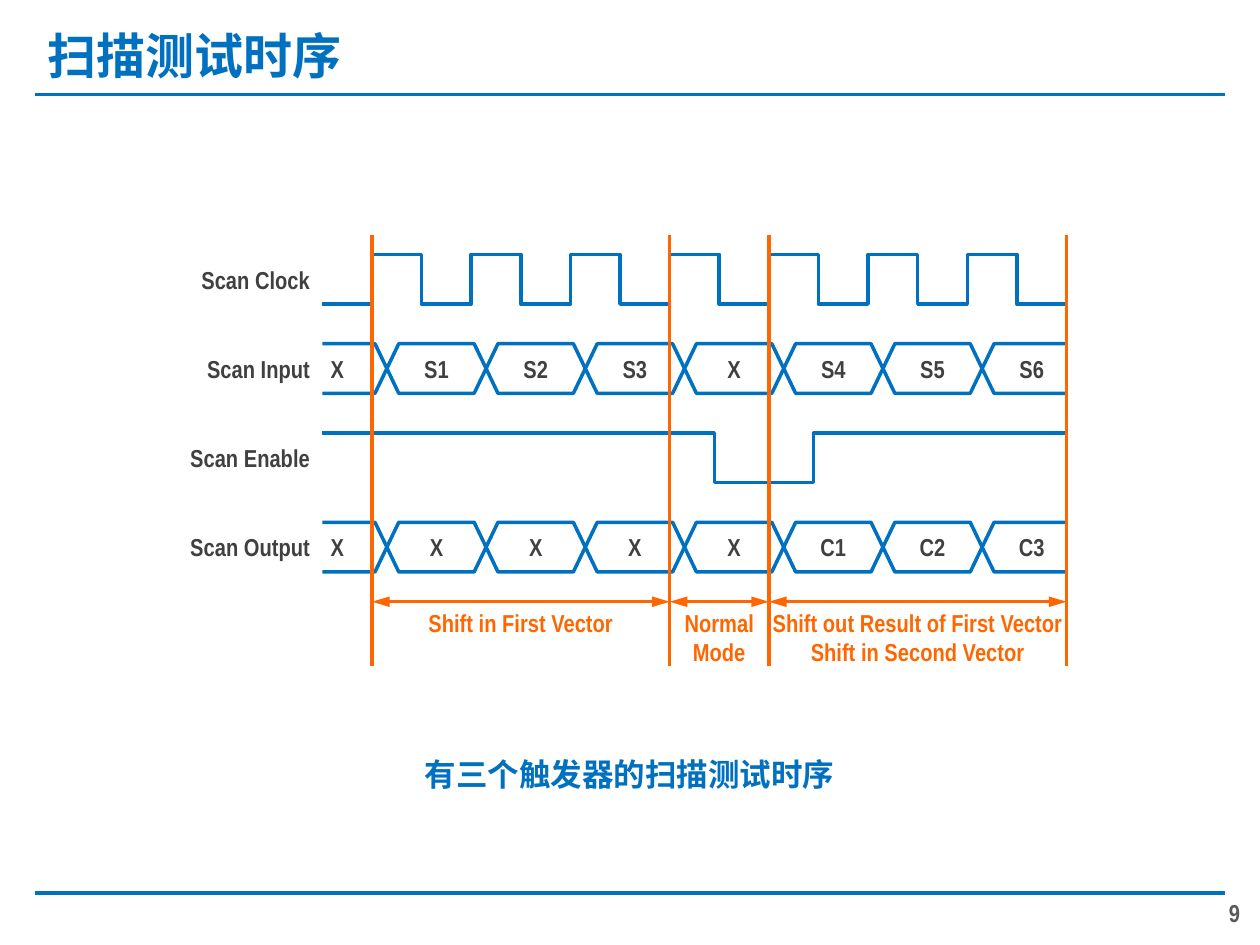
from lxml import etree
from pptx import Presentation
from pptx import util as u
from pptx.dml.color import RGBColor
from pptx.enum import shapes, text
from pptx.oxml.ns import qn

BLUE, ORANGE, DARK, GREY = "0070C0", "FF6600", "404040", "595959"
WIDTH, HEIGHT = 25.4, 19.05
LEFT, TOP = 6.5, 5.13
COLS, ROW_PITCH = 15, 1.8
CELL, BEVEL, FIRST_CELL = 2, 0.24, 1.3
MARKS = [1, 7, 9, 15]
ARROW_ROW = 7


def at(col, row):
    return u.Cm(LEFT + col), u.Cm(TOP + row)


def share(x, y):
    return u.Cm(WIDTH * x), u.Cm(HEIGHT * y)


def color(value):
    return RGBColor.from_string(value)


def write(sp, words, size=14, fill=DARK, align="CENTER", anchor="MIDDLE",
          inset=0.1, spacing=None, wrap=True):
    tf = sp.text_frame
    tf.word_wrap = wrap
    tf.vertical_anchor = getattr(text.MSO_ANCHOR, anchor)
    tf.margin_left = tf.margin_right = u.Inches(inset)
    p = tf.paragraphs[0]
    p.alignment = getattr(text.PP_ALIGN, align)
    if spacing:
        p.line_spacing = spacing
    r = p.add_run()
    r.text = words
    r.font.name = "Arial Narrow"
    r.font.size = u.Pt(size)
    r.font.bold = True
    r.font.color.rgb = color(fill)


def label(s, start, extent, words, **style):
    write(s.shapes.add_textbox(*start, *extent), words, **style)


def line(s, start, end, stroke, arrows=False):
    sp = s.shapes.add_connector(shapes.MSO_CONNECTOR.STRAIGHT, *start, *end)
    sp.line.color.rgb = color(stroke)
    sp.line.width = u.Pt(2)
    if arrows:
        ln = sp.line._get_or_add_ln()
        for end_tag in ("a:headEnd", "a:tailEnd"):
            etree.SubElement(ln, qn(end_tag), type="triangle", w="med", len="lg")
    etree.SubElement(sp._element.spPr, qn("a:effectLst"))


def outline(s, points, close=False):
    first, *rest = [at(*point) for point in points]
    builder = s.shapes.build_freeform(*first)
    builder.add_line_segments(rest, close=close)
    sp = builder.convert_to_shape()
    sp.shadow.inherit = False
    sp.fill.background()
    sp.line.color.rgb = color(BLUE)
    sp.line.width = u.Pt(2)
    return sp


def clock(s, row):
    points = [(0, row + 1)]
    for col in range(1, COLS):
        rising = col % 2
        points += [(col, row + rising), (col, row + 1 - rising)]
    outline(s, points + [(COLS, row + 1)])


def enable(s, row):
    outline(s, [(0, row), (7.9, row), (7.9, row + 1),
                (9.9, row + 1), (9.9, row), (COLS, row)])


def bus(s, row, values):
    before, *inner, after = values
    middle, bottom = row + 0.5, row + 1
    extent = u.Cm(CELL), u.Cm(1)
    last = FIRST_CELL + CELL * len(inner)
    outline(s, [(0, row), (FIRST_CELL - BEVEL, row), (FIRST_CELL, middle),
                (FIRST_CELL - BEVEL, bottom), (0, bottom)])
    for i, value in enumerate(inner):
        left = FIRST_CELL + CELL * i
        right = left + CELL
        sp = outline(s, [(left + BEVEL, row), (right - BEVEL, row), (right, middle),
                         (right - BEVEL, bottom), (left + BEVEL, bottom),
                         (left, middle)], close=True)
        write(sp, value)
    outline(s, [(COLS, bottom), (last + BEVEL, bottom), (last, middle),
                (last + BEVEL, row), (COLS, row)])
    label(s, at(FIRST_CELL - CELL, row), extent, before)
    label(s, at(last, row), extent, after)


def phases(s):
    for col in MARKS:
        line(s, at(col, -0.4), at(col, 8.3), ORANGE)
    names = [("Shift in First Vector", 0.1), ("Normal Mode", 0.1),
             ("Shift out Result of First Vector Shift in Second Vector", 0)]
    for start, end, (name, inset) in zip(MARKS, MARKS[1:], names):
        line(s, at(end, ARROW_ROW), at(start, ARROW_ROW), ORANGE, arrows=True)
        label(s, at(start, ARROW_ROW), (u.Cm(end - start), u.Cm(1)), name,
              fill=ORANGE, anchor="TOP", inset=inset)


def main():
    prs = Presentation()
    prs.slide_width, prs.slide_height = share(1, 1)
    s = prs.slides.add_slide(prs.slide_layouts[6])

    for y in (0.1, 0.945):
        line(s, share(0.028, y), share(0.972, y), BLUE)
    label(s, share(0.028, 0.024), share(0.859, 0.076), "扫描测试时序",
          size=28, fill=BLUE, align="LEFT", spacing=0.9)
    label(s, share(0.947, 0.945), share(0.047, 0.041), "9", fill=GREY, align="RIGHT")
    label(s, share(0.106, 0.752), share(0.787, 0.125), "有三个触发器的扫描测试时序",
          size=18, fill=BLUE, inset=0.04, spacing=1.2, wrap=False)

    clock(s, 0)
    bus(s, ROW_PITCH, ["X", "S1", "S2", "S3", "X", "S4", "S5", "S6"])
    enable(s, 2 * ROW_PITCH)
    bus(s, 3 * ROW_PITCH, ["X", "X", "X", "X", "X", "C1", "C2", "C3"])
    for i, name in enumerate(["Clock", "Input", "Enable", "Output"]):
        label(s, at(-3, i * ROW_PITCH), (u.Cm(3), u.Cm(1)), f"Scan {name}", align="RIGHT")
    phases(s)

    prs.save("out.pptx")


if __name__ == "__main__":
    main()
